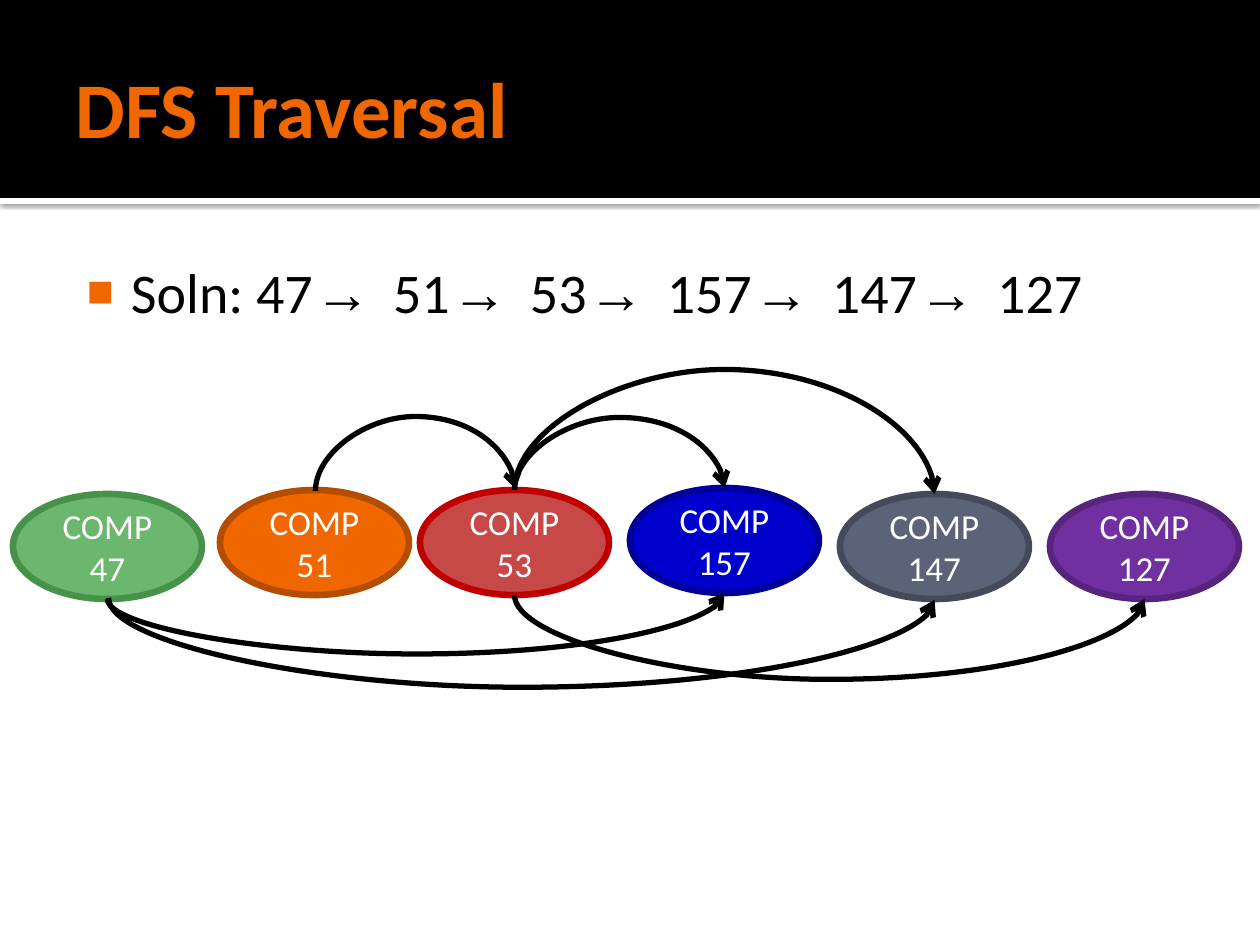
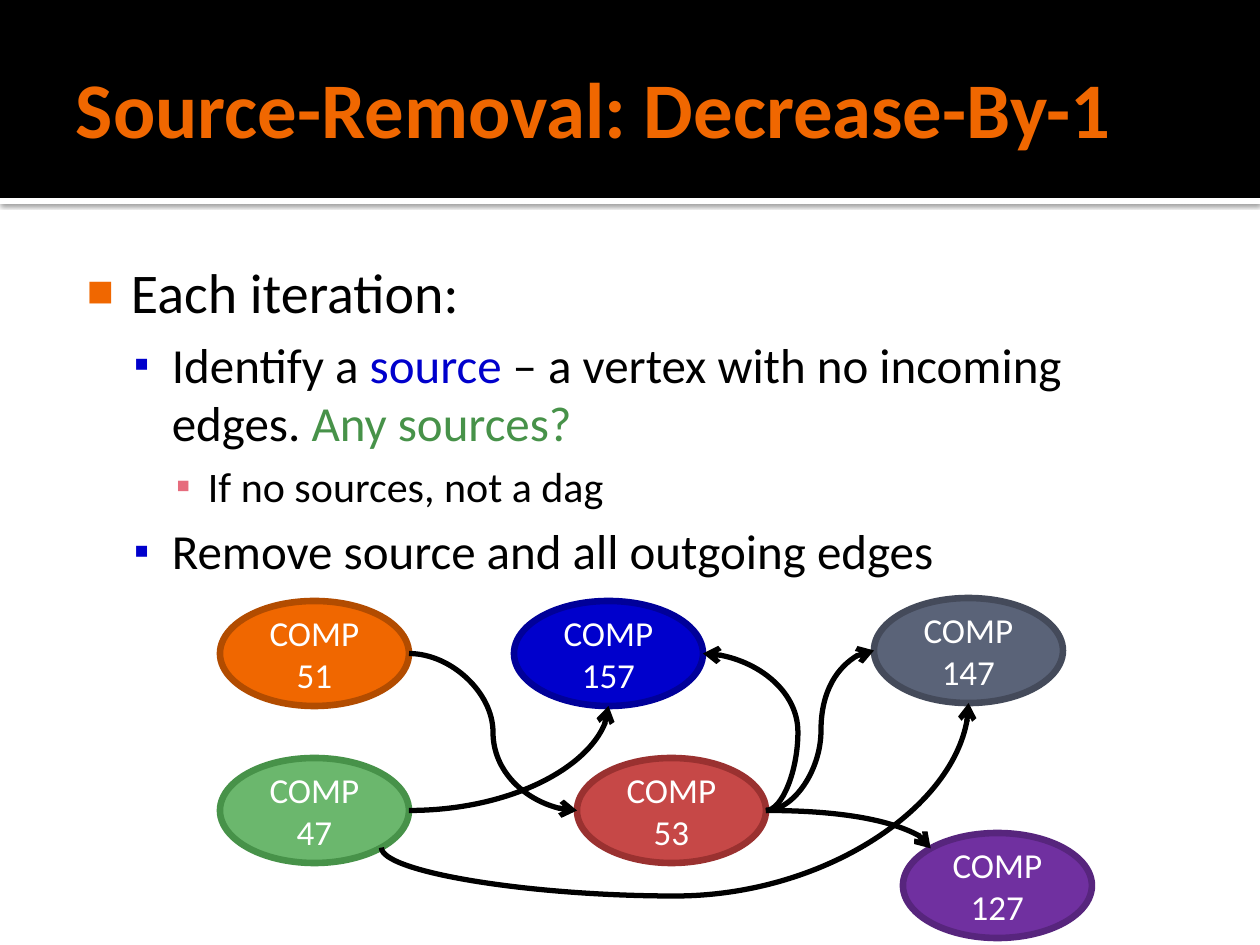
import math
from dataclasses import dataclass

import pptx
import pptx.dml.color
import pptx.enum.shapes
import pptx.enum.text
import pptx.oxml
import pptx.oxml.ns
import pptx.util
from lxml import etree

PX_PER_INCH = 126
WIDTH, HEIGHT = 1260, 945
BAND_HEIGHT, STRIP_HEIGHT = 198, 6
NODE_WIDTH, NODE_HEIGHT = 189, 105

# Connection sites of an ellipse, counterclockwise from the top in 45 degree steps
TOP, TOP_LEFT, LEFT, BOTTOM_LEFT, BOTTOM, BOTTOM_RIGHT, RIGHT = range(7)


@dataclass(frozen=True)
class Theme:
    font: str = "Calibri"
    arrow_font: str = "Courier New"
    ink: str = "000000"
    paper: str = "FFFFFF"
    accent: str = "F06700"
    blue: str = "0000CC"
    green: str = "479249"
    pink: str = "E66C7D"
    title_size: int = 45
    node_size: int = 20
    node_line: float = 3.78
    edge_line: float = 3


THEME = Theme()

# Level: text size, left margin, hanging indent, bullet, bullet colour, bullet size in %
LEVELS = [
    (32, 60, 44, "■", THEME.accent, 80),
    (28, 101, 38, "▪", THEME.blue, 90),
    (24, 137, 32, "▪", THEME.pink, 100),
]

# Course: fill, outline
COURSES = {
    51: (THEME.accent, "B24C00"),
    47: ("6BB76D", THEME.green),
    53: ("C64847", "9A3130"),
    157: (THEME.blue, "000099"),
    127: ("7030A0", "57257D"),
    147: ("5A6378", "444A5A"),
}


def px(length):
    return pptx.util.Emu(round(length * 914400 / PX_PER_INCH))


def rgb(code):
    return pptx.dml.color.RGBColor.from_string(code)


def child(parent, tag, **attributes):
    """Append a drawing element with the given attributes."""
    element = etree.SubElement(parent, pptx.oxml.ns.qn(tag))
    for key, value in attributes.items():
        element.set(key, str(value))
    return element


def style_run(run, size, color, font=THEME.font, bold=False):
    run.font.size = pptx.util.Pt(size)
    run.font.name = font
    run.font.bold = bold
    run.font.color.rgb = rgb(color)


def add_shape(slide, preset, box, fill):
    shape = slide.shapes.add_shape(preset, *map(px, box))
    shape.shadow.inherit = False
    shape.fill.solid()
    shape.fill.fore_color.rgb = rgb(fill)
    shape.line.fill.background()
    return shape


def add_text_frame(slide, box, insets):
    frame = slide.shapes.add_textbox(*map(px, box)).text_frame
    frame.word_wrap = True
    (frame.margin_left, frame.margin_top,
     frame.margin_right, frame.margin_bottom) = map(px, insets)
    return frame


def add_titled_slide(deck, title):
    slide = deck.slides.add_slide(deck.slide_layouts[6])
    rectangle = pptx.enum.shapes.MSO_SHAPE.RECTANGLE
    strip = add_shape(slide, rectangle, (0, BAND_HEIGHT, WIDTH, STRIP_HEIGHT), THEME.paper)
    effects = strip._element.spPr.find(pptx.oxml.ns.qn("a:effectLst"))
    shadow = child(effects, "a:outerShdw", blurRad=31750, dist=10160, dir=5400000,
                   algn="tl", rotWithShape=0)
    child(child(shadow, "a:srgbClr", val=THEME.ink), "a:alpha", val=60000)
    add_shape(slide, rectangle, (0, 0, WIDTH, BAND_HEIGHT), THEME.ink)

    heading = add_text_frame(slide, (63, 21, 1134, 173), (13, 6, 6, 6))
    heading.vertical_anchor = pptx.enum.text.MSO_ANCHOR.MIDDLE
    heading.text = title
    style_run(heading.paragraphs[0].runs[0], THEME.title_size, THEME.accent, bold=True)
    return slide


def add_bullet(paragraph, level):
    _, margin, hanging, mark, color, percent = LEVELS[level]
    properties = paragraph._p.get_or_add_pPr()
    properties.set("marL", str(px(margin)))
    properties.set("indent", str(-px(hanging)))
    child(child(properties, "a:buClr"), "a:srgbClr", val=color)
    child(properties, "a:buSzPct", val=percent * 1000)
    child(properties, "a:buFont", typeface="Arial")
    child(properties, "a:buChar", char=mark)


def add_body(slide, items):
    """Each item is a level and its pieces of (text, colour, font)."""
    frame = add_text_frame(slide, (63, 244, 1134, 638), (8, 13, 13, 6))
    for number, (level, pieces) in enumerate(items):
        paragraph = frame.add_paragraph() if number else frame.paragraphs[0]
        size = LEVELS[level][0]
        add_bullet(paragraph, level)
        if number:
            paragraph.space_before = pptx.util.Pt(size * 0.2)
        for text, color, font in pieces:
            run = paragraph.add_run()
            run.text = text
            style_run(run, size, color, font)


def plain(text, color=THEME.ink):
    return text, color, THEME.font


def route(courses):
    """Pieces that spell the visiting order with arrows between the courses."""
    pieces = [plain("Soln: ")]
    for number, course in enumerate(courses):
        if number:
            pieces.append(("→ ", THEME.ink, THEME.arrow_font))
        last = number == len(courses) - 1
        pieces.append(plain(f"{course}" if last else f"{course} "))
    return pieces


def add_course(slide, course, left, top, outline=None):
    fill, usual_outline = COURSES[course]
    node = add_shape(slide, pptx.enum.shapes.MSO_SHAPE.OVAL,
                     (left, top, NODE_WIDTH, NODE_HEIGHT), fill)
    node.line.color.rgb = rgb(outline or usual_outline)
    node.line.width = pptx.util.Pt(THEME.node_line)
    frame = node.text_frame
    frame.word_wrap = True
    frame.vertical_anchor = pptx.enum.text.MSO_ANCHOR.MIDDLE
    frame.text = f"COMP {course}"
    frame.paragraphs[0].alignment = pptx.enum.text.PP_ALIGN.CENTER
    style_run(frame.paragraphs[0].runs[0], THEME.node_size, THEME.paper)
    return node


def add_courses(slide, places, outlines):
    return {course: add_course(slide, course, *place, outlines.get(course))
            for course, place in places.items()}


def site_point(node, site, nudge):
    angle = math.radians(45 * site)
    x = node.left + node.width / 2 * (1 - math.sin(angle)) + px(nudge[0])
    y = node.top + node.height / 2 * (1 - math.cos(angle)) + px(nudge[1])
    return round(x), round(y)


def add_edge(slide, start, start_site, end, end_site, bend=None,
             start_nudge=(0, 0), end_nudge=(0, 0)):
    """Curved arrow; bend is the px line where it turns, None for a quarter curve."""
    x0, y0 = site_point(start, start_site, start_nudge)
    x1, y1 = site_point(end, end_site, end_nudge)
    edge = slide.shapes.add_connector(pptx.enum.shapes.MSO_CONNECTOR.CURVE, x0, y0, x1, y1)
    edge.line.color.rgb = rgb(THEME.ink)
    edge.line.width = pptx.util.Pt(THEME.edge_line)
    child(edge.line._get_or_add_ln(), "a:tailEnd", type="arrow")
    properties = edge._element.spPr
    child(properties, "a:effectLst")

    leaves_vertically = start_site != RIGHT
    if leaves_vertically:
        turn_upright(edge, x0, y0, x1, y1)
    geometry = properties.find(pptx.oxml.ns.qn("a:prstGeom"))
    if bend is None:
        geometry.set("prst", "curvedConnector2")
    else:
        first, last = (y0, y1) if leaves_vertically else (x0, x1)
        share = round((px(bend) - first) / (last - first) * 100000)
        guides = geometry.find(pptx.oxml.ns.qn("a:avLst"))
        if guides is None:
            guides = child(geometry, "a:avLst")
        child(guides, "a:gd", name="adj1", fmla=f"val {share}")

    if start_nudge == end_nudge == (0, 0):
        links = edge._element.nvCxnSpPr.cNvCxnSpPr
        child(links, "a:stCxn", id=start.shape_id, idx=start_site)
        child(links, "a:endCxn", id=end.shape_id, idx=end_site)


def turn_upright(edge, x0, y0, x1, y1):
    """Rotate a rightward connector so that it leaves its start vertically."""
    run, rise = x1 - x0, abs(y1 - y0)
    edge.left, edge.top = (x0 + x1 - rise) // 2, (y0 + y1 - run) // 2
    edge.width, edge.height = rise, run
    frame = properties_frame(edge)
    goes_down = y1 > y0
    frame.set("rot", str((270 if goes_down else 90) * 60000))
    frame.set("flipH", "1")
    frame.set("flipV", "0" if goes_down else "1")


def properties_frame(edge):
    return edge._element.spPr.find(pptx.oxml.ns.qn("a:xfrm"))


def add_traversal_slide(deck):
    slide = add_titled_slide(deck, "DFS Traversal")
    add_body(slide, [(0, route([47, 51, 53, 157, 147, 127]))])
    nodes = add_courses(slide, {
        51: (220, 490), 47: (13, 494), 53: (420, 490),
        157: (630, 488), 127: (1050, 494), 147: (840, 494),
    }, {51: "B44D00", 53: "C00000"})
    add_edge(slide, nodes[51], TOP, nodes[53], TOP, 416, (1, 1), (1, -1))
    for start, end, site, bend in [(53, 127, BOTTOM, 679), (53, 147, TOP, 370),
                                   (53, 157, TOP, 417), (47, 157, BOTTOM, 654)]:
        add_edge(slide, nodes[start], site, nodes[end], site, bend)
    add_edge(slide, nodes[47], BOTTOM, nodes[147], BOTTOM, 688, (1, -1), (0, 1))


def add_source_removal_slide(deck):
    slide = add_titled_slide(deck, "Source-Removal: Decrease-By-1")
    add_body(slide, [
        (0, [plain("Each iteration:")]),
        (1, [plain("Identify a "), plain("source", THEME.blue),
             plain(" – a vertex with no incoming edges. "),
             plain("Any sources?", THEME.green)]),
        (2, [plain("If no sources, not a dag")]),
        (1, [plain("Remove source and all outgoing edges")]),
    ])
    nodes = add_courses(slide, {
        51: (220, 601), 47: (220, 758), 53: (577, 758),
        157: (514, 601), 127: (903, 833), 147: (874, 598),
    }, {})
    for start, start_site, end, end_site, bend in [
        (51, RIGHT, 53, LEFT, 493),
        (53, RIGHT, 127, TOP_LEFT, None),
        (53, RIGHT, 147, LEFT, 821),
        (53, RIGHT, 157, RIGHT, 798),
        (47, RIGHT, 157, BOTTOM, None),
        (47, BOTTOM_RIGHT, 147, BOTTOM, 896),
    ]:
        add_edge(slide, nodes[start], start_site, nodes[end], end_site, bend)


def main():
    deck = pptx.Presentation()
    deck.slide_width, deck.slide_height = px(WIDTH), px(HEIGHT)
    add_traversal_slide(deck)
    add_source_removal_slide(deck)
    deck.save("out.pptx")


if __name__ == "__main__":
    main()
